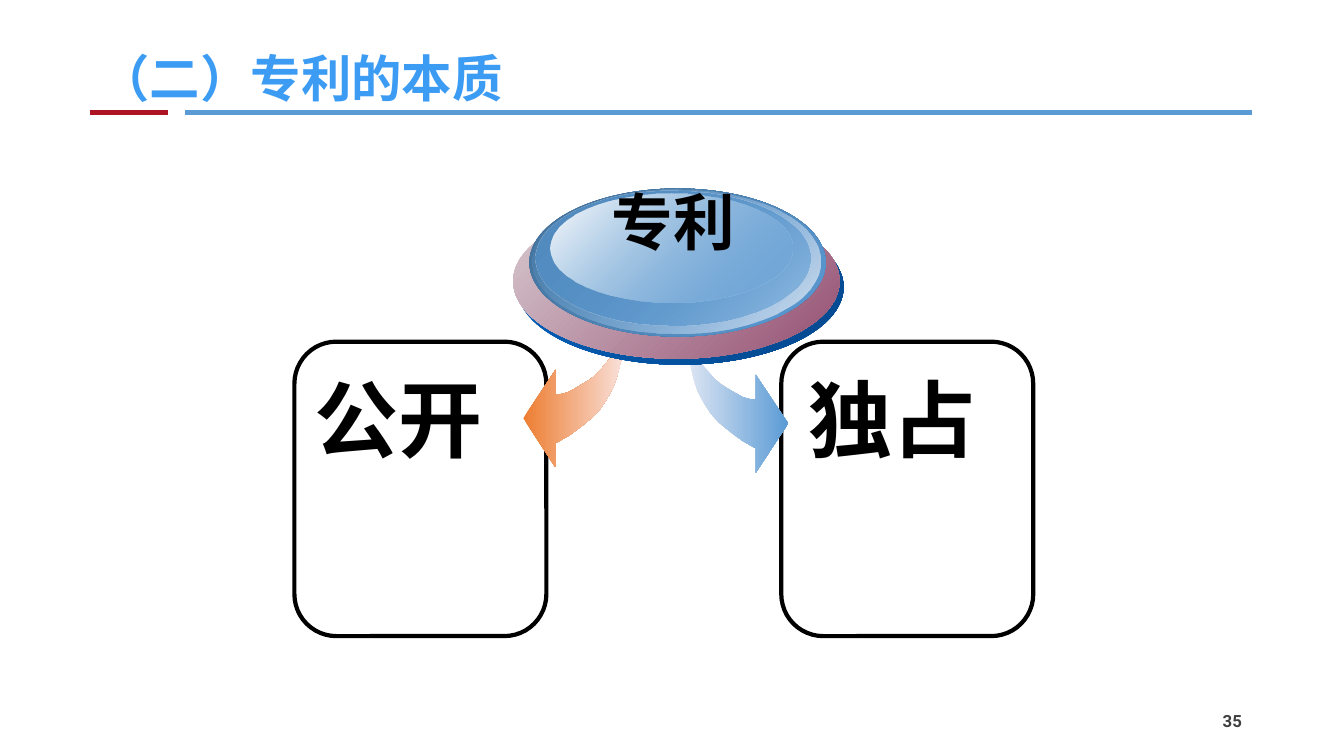
import pptx
import pptx.dml.color
import pptx.enum.shapes
import pptx.enum.text
import pptx.oxml.ns
import pptx.util
from lxml import etree

Cm = pptx.util.Cm
Pt = pptx.util.Pt
RGBColor = pptx.dml.color.RGBColor
Shape = pptx.enum.shapes.MSO_SHAPE
Anchor = pptx.enum.text.MSO_ANCHOR
Align = pptx.enum.text.PP_ALIGN
qn = pptx.oxml.ns.qn

BLACK = RGBColor(0x00, 0x00, 0x00)
WHITE = RGBColor(0xFF, 0xFF, 0xFF)
GREY = RGBColor(0x3F, 0x3F, 0x3F)
RED = RGBColor(0xAE, 0x13, 0x24)
TITLE_BLUE = RGBColor(0x3C, 0x9C, 0xF4)
BLUE = RGBColor(0x5B, 0x9B, 0xD5)
MID_BLUE = RGBColor(0x52, 0x8C, 0xC0)
DARK_BLUE = RGBColor(0x41, 0x6F, 0x98)
PALE_BLUE = RGBColor(0xD8, 0xE3, 0xF1)
ARROW_BLUE = RGBColor(0xDC, 0xE5, 0xF3)
SHADE_BLUE = RGBColor(0x05, 0x63, 0xC1)
SHADE_NAVY = RGBColor(0x04, 0x48, 0x8D)
PALE_PINK = RGBColor(0xD8, 0xCA, 0xD0)
PLUM = RGBColor(0x95, 0x4F, 0x72)
ORANGE = RGBColor(0xED, 0x7D, 0x31)
PEACH = RGBColor(0xF9, 0xE0, 0xD9)

# Arrow outline in cm: distance outwards and downwards from its upper end
ARROW = [
    (0, 0), (0, 0.38), (0.05, 0.76), (0.13, 1.09), (0.23, 1.4), (0.38, 1.68),
    (0.56, 1.96), (0.76, 2.18), (1.04, 2.41), (1.35, 2.64), (1.7, 2.84),
    (1.7, 3.45), (2.51, 2.21), (1.7, 0.99), (1.7, 1.6), (1.55, 1.6),
    (1.37, 1.55), (1.19, 1.45), (1.02, 1.35), (0.81, 1.22), (0.64, 1.07),
    (0.48, 0.89), (0.33, 0.71), (0.2, 0.53), (0.1, 0.36), (0.03, 0.18),
]

# Button layers from back to front: box in cm, (colour, opacity %) at each end
BUTTON = [
    ((13.03, 5.28, 8.23, 3.91), (SHADE_BLUE, 100), (SHADE_NAVY, 100)),
    ((12.93, 5.13, 8.23, 3.91), (PALE_PINK, 100), (PLUM, 100)),
    ((13.34, 4.75, 7.47, 3.73), (DARK_BLUE, 100), (BLUE, 100)),
    ((13.41, 4.78, 7.26, 3.63), (BLUE, 0), (PALE_BLUE, 100)),
    ((13.49, 4.8, 6.93, 3.4), (MID_BLUE, 100), (BLUE, 48)),
    ((13.87, 4.88, 6.1, 2.74), (WHITE, 100), (BLUE, 38)),
]


class SlideBuilder:
    def __init__(self, slide):
        self.shapes = slide.shapes
        self.text_style = {"name": "Arial", "bold": True}

    def rule(self, x1, x2, y, color):
        line = self.shapes.add_connector(
            pptx.enum.shapes.MSO_CONNECTOR.STRAIGHT, Cm(x1), Cm(y), Cm(x2), Cm(y))
        line.line.color.rgb = color
        line.line.width = Pt(3.5)
        etree.SubElement(line.element.spPr, qn("a:effectLst"))

    def text(self, box, content, size, color=BLACK, font=None,
             align=Align.LEFT, **frame):
        sp = self.shapes.add_textbox(*map(Cm, box))
        tf = sp.text_frame
        for key, value in {"word_wrap": True, **frame}.items():
            setattr(tf, key, value)
        p = tf.paragraphs[0]
        p.alignment = align
        r = p.add_run()
        r.text = content
        style = {**self.text_style, "size": Pt(size), **(font or {})}
        for key, value in style.items():
            setattr(r.font, key, value)
        r.font.color.rgb = color

    def card(self, box):
        sp = self.shapes.add_shape(Shape.ROUNDED_RECTANGLE, *map(Cm, box))
        sp.shadow.inherit = False
        sp.fill.background()
        sp.line.color.rgb = BLACK
        sp.line.width = Pt(3)

    def gradient(self, sp, ends, angle):
        """Fill sp between two (colour, opacity %) ends; angle runs clockwise."""
        sp.shadow.inherit = False
        sp.line.fill.background()
        sp.fill.gradient()
        sp.fill.gradient_angle = (360 - angle) % 360
        colors = sp.element.spPr.iter(qn("a:gs"))
        for stop, gs, (color, opacity) in zip(sp.fill.gradient_stops, colors, ends):
            stop.color.rgb = color
            if opacity < 100:
                etree.SubElement(gs[0], qn("a:alpha"), val=str(opacity * 1000))

    def ellipse(self, box, *ends):
        sp = self.shapes.add_shape(Shape.OVAL, *map(Cm, box))
        self.gradient(sp, ends, 45)

    def arrow(self, x, y, side, *ends):
        """Curved arrow from (x, y); side is -1 to the left, 1 to the right."""
        points = [(Cm(x + side * dx), Cm(y + dy)) for dx, dy in ARROW]
        outline = self.shapes.build_freeform(*points[0])
        outline.add_line_segments(points[1:], close=True)
        self.gradient(outline.convert_to_shape(), ends, 0)


def main():
    prs = pptx.Presentation()
    prs.slide_width, prs.slide_height = Cm(33.87), Cm(19.05)
    s = SlideBuilder(prs.slides.add_slide(prs.slide_layouts[6]))

    s.rule(2.26, 4.24, 2.84, RED)
    s.rule(4.67, 31.55, 2.84, BLUE)
    s.text((2.26, 0, 29.29, 2.84), "（二）专利的本质", 36, TITLE_BLUE,
           {"name": "Arial Narrow"}, vertical_anchor=Anchor.BOTTOM)

    for card_x, label_x, label in ((19.69, 20.12, "独占"), (7.42, 7.67, "公开")):
        s.card((card_x, 8.61, 6.35, 7.42))
        s.text((label_x, 9.14, 5.7, 2.79), label, 60)

    s.arrow(15.7, 8.33, -1, (ORANGE, 100), (PEACH, 100))
    s.arrow(17.35, 8.46, 1, (ARROW_BLUE, 100), (BLUE, 100))

    for box, start, end in BUTTON:
        s.ellipse(box, start, end)
    s.text((15.14, 4.52, 3.66, 2.74), "专利", 44, align=Align.CENTER,
           word_wrap=False)

    s.text((23.93, 17.65, 7.62, 1.02), "35", 12, GREY, {"name": "Roboto"},
           Align.RIGHT, vertical_anchor=Anchor.MIDDLE)
    prs.save("out.pptx")


if __name__ == "__main__":
    main()
